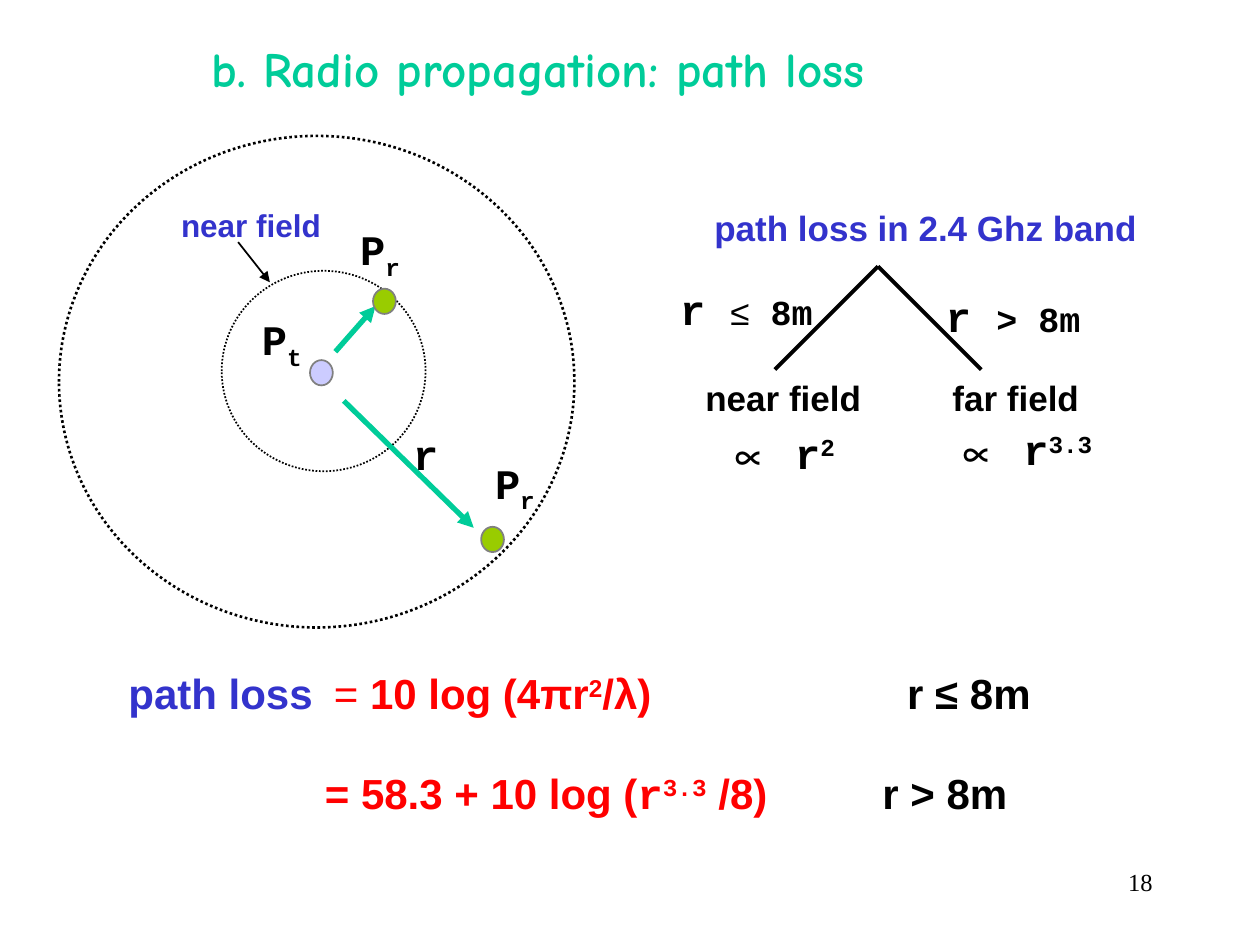
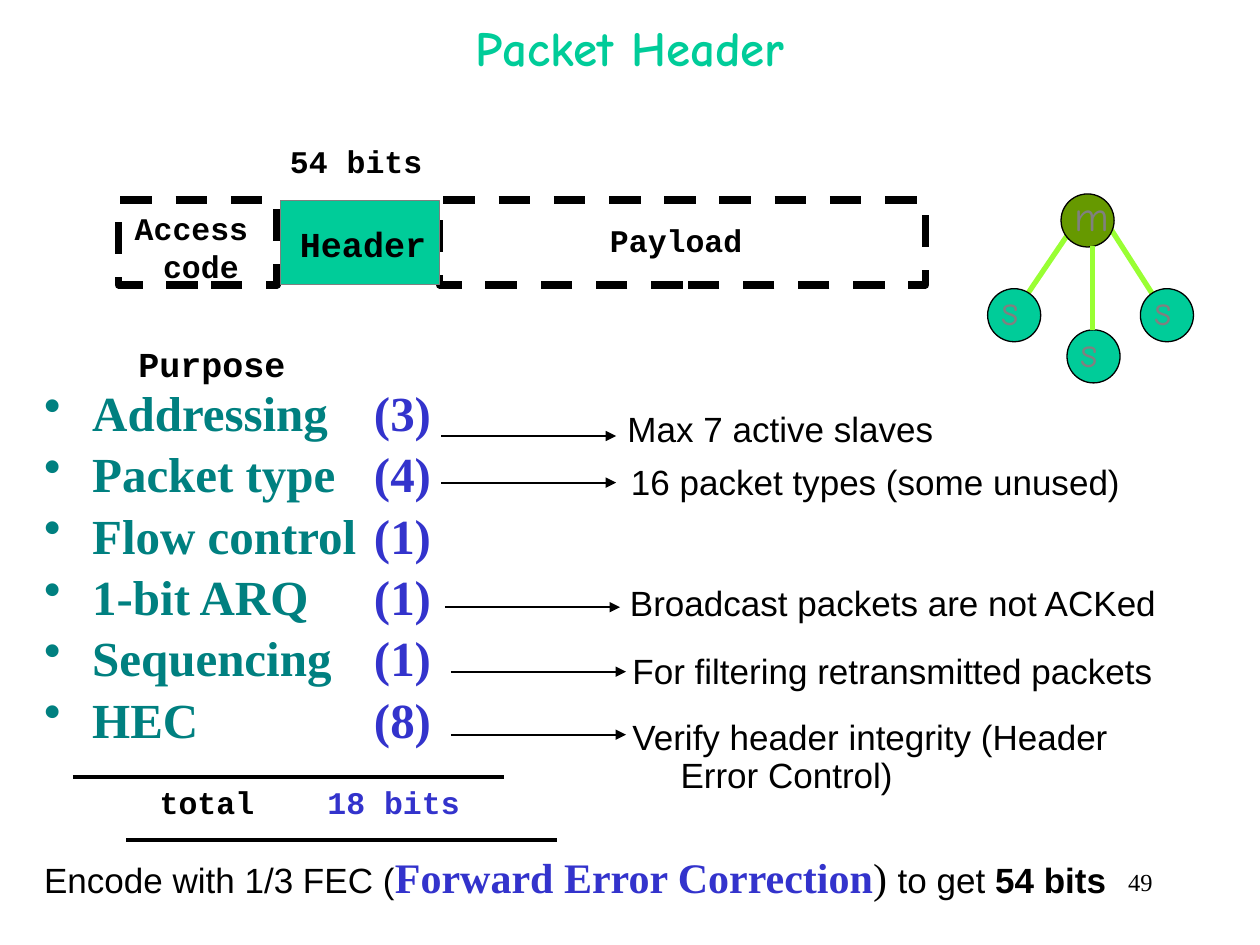
"""Build two lecture slides: radio path loss and the packet header."""
from dataclasses import dataclass

from lxml import etree
from pptx import Presentation
from pptx import util as u
from pptx.dml.color import RGBColor
from pptx.enum import dml, shapes, text
from pptx.oxml.ns import qn

COLORS = {
    "black": "000000", "green": "00CC99", "blue": "3333CC", "red": "FF0000",
    "teal": "008080", "grey": "808080", "lime": "99CC00", "lilac": "CCCCFF",
    "olive": "669900", "bright": "99FF33",
}
SANS, MONO, SERIF, COMIC = "Arial", "Courier New", "Times New Roman", "Comic Neue"
LEFT, CENTER, RIGHT = text.PP_ALIGN.LEFT, text.PP_ALIGN.CENTER, text.PP_ALIGN.RIGHT
TOP, MIDDLE = text.MSO_ANCHOR.TOP, text.MSO_ANCHOR.MIDDLE
DOT, DASH = dml.MSO_LINE.ROUND_DOT, dml.MSO_LINE.DASH
OVAL, RECT = shapes.MSO_SHAPE.OVAL, shapes.MSO_SHAPE.RECTANGLE
HANGING = 0.97


@dataclass
class Span:
    """A piece of text in one style."""
    text: str
    size: float = 20
    font: str = SANS
    color: str = "black"
    bold: bool = True
    baseline: int = 0


def mono(words, size=24, baseline=0, color="black"):
    return Span(words, size, MONO, color, True, baseline)


def plain(words, size=20):
    return Span(words, size, bold=False)


class SlideBuilder:
    """Holds the shared style and the slide being drawn."""

    def __init__(self):
        self.deck = Presentation()
        self.deck.slide_width, self.deck.slide_height = u.Cm(25.4), u.Cm(19.05)
        self.page = None

    def color(self, name):
        return RGBColor.from_string(COLORS[name])

    def start(self, title, number, place, align, anchor):
        self.page = self.deck.slides.add_slide(self.deck.slide_layouts[5])
        box = self.page.shapes.title
        box.left, box.top, box.width, box.height = map(u.Cm, place)
        self.fill_frame(box.text_frame, [[Span(title, 28, COMIC, "green")]], align, anchor)
        self.add_text(18.21, 17.35, 5.28, [Span(number, 14, SERIF, bold=False)], align=RIGHT)

    def fill_frame(self, frame, paragraphs, align, anchor):
        frame.word_wrap = True
        frame.auto_size = text.MSO_AUTO_SIZE.NONE
        frame.vertical_anchor = anchor
        for index, spans in enumerate(paragraphs):
            para = frame.add_paragraph() if index else frame.paragraphs[0]
            para.alignment = align
            for span in spans:
                run = para.add_run()
                run.text = span.text
                run.font.size, run.font.name = u.Pt(span.size), span.font
                run.font.bold = span.bold
                run.font.color.rgb = self.color(span.color)
                if span.baseline:
                    run.font._element.set("baseline", str(span.baseline * 1000))

    def add_text(self, left, top, width, *paragraphs, height=1.27, align=LEFT, anchor=TOP):
        box = self.page.shapes.add_textbox(*map(u.Cm, (left, top, width, height)))
        self.fill_frame(box.text_frame, paragraphs, align, anchor)
        return box.text_frame.paragraphs

    def label(self, center, top, height, *lines, size=18):
        width = 3.6
        self.add_text(center - width / 2, top, width, *([mono(line, size)] for line in lines),
                      height=height, align=CENTER, anchor=MIDDLE)

    def shape(self, kind, left, top, width, height, fill=None, line="black", weight=1, dash=None):
        shape = self.page.shapes.add_shape(kind, *map(u.Cm, (left, top, width, height)))
        shape.shadow.inherit = False
        if fill:
            shape.fill.solid()
            shape.fill.fore_color.rgb = self.color(fill)
        else:
            shape.fill.background()
        shape.line.color.rgb = self.color(line)
        shape.line.width = u.Pt(weight)
        if dash:
            shape.line.dash_style = dash

    def line(self, start, end, color="black", weight=2.25, arrow=False):
        line = self.page.shapes.add_connector(
            shapes.MSO_CONNECTOR.STRAIGHT, *map(u.Cm, (*start, *end)))
        line.line.color.rgb = self.color(color)
        line.line.width = u.Pt(weight)
        if arrow:
            etree.SubElement(line.line._get_or_add_ln(), qn("a:tailEnd"), type="triangle")
        etree.SubElement(line._element.spPr, qn("a:effectLst"))

    def tabs(self, para, *stops):
        tab_list = etree.SubElement(para._p.get_or_add_pPr(), qn("a:tabLst"))
        for stop in stops:
            etree.SubElement(tab_list, qn("a:tab"), pos=str(u.Cm(stop)), algn="l")

    def hang(self, para, line_spacing):
        properties = para._p.get_or_add_pPr()
        properties.set("marL", str(u.Cm(HANGING)))
        properties.set("indent", str(-u.Cm(HANGING)))
        para.line_spacing = line_spacing

    def bullet(self, para, color):
        properties = para._p.get_or_add_pPr()
        tint = etree.SubElement(properties, qn("a:buClr"))
        etree.SubElement(tint, qn("a:srgbClr"), val=COLORS[color])
        etree.SubElement(properties, qn("a:buChar"), char="•")

    def node(self, left, top, letter, fill):
        self.shape(OVAL, left, top, 1.07, 1.07, fill, weight=0.75)
        self.add_text(left + 0.03, top - 0.22, 1.4, [Span(letter, 24, COMIC, "grey", False)])


def path_loss(slide):
    slide.start("b. Radio propagation: path loss", "18", (4.01, 0.64, 19.48, 1.45), LEFT, TOP)

    slide.shape(OVAL, 1.19, 2.74, 10.39, 9.91, weight=1.5, dash=DOT)
    slide.shape(OVAL, 4.47, 5.46, 4.11, 4.04, dash=DOT)
    slide.line((6.76, 7.09), (7.57, 6.17), "green", 3, arrow=True)
    slide.line((6.93, 8.08), (9.55, 10.64), "green", 3, arrow=True)
    slide.line((4.8, 4.88), (5.44, 5.69), weight=1, arrow=True)
    for left, top, fill in ((6.25, 7.26, "lilac"), (7.52, 5.82, "lime"), (9.7, 10.62, "lime")):
        slide.shape(OVAL, left, top, 0.46, 0.51, fill, "grey")
    for left, top, index in ((5.03, 6.2, "t"), (9.73, 9.09, "r"), (7.01, 4.39, "r")):
        slide.add_text(left, top, 1.8, [mono("P"), mono(index, baseline=-25)])
    slide.add_text(8.08, 8.51, 1.2, [mono("r")])
    slide.add_text(3.4, 4.03, 4, [Span("near field", 18, color="blue")])

    slide.add_text(14.15, 4.04, 9.6, [Span("path loss in 2.4 Ghz band", color="blue")])
    for end in (15.62, 19.78):
        slide.line((17.7, 5.37), (end, 7.45))
    slide.add_text(13.46, 5.59, 3.8, [mono("r "), plain("≤"), mono(" 8m", 20)])
    slide.add_text(18.82, 5.74, 3.8, [mono("r "), mono("> 8m", 20)])
    fields = (("near field", 13.97, 14.4, 8.38, "2"), ("far field", 18.95, 19, 8.31, "3.3"))
    for name, name_left, sign_left, top, power in fields:
        slide.add_text(name_left, 7.47, 4.4, [Span(name)])
        slide.add_text(sign_left, top, 1.3, [Span("∝", 28)])
        slide.add_text(sign_left + 1.38, top + 0.11, 2.2, [mono("r"), mono(power, baseline=30)])

    near, far = slide.add_text(
        2.34, 13.34, 19.69,
        [Span("path loss\t", 24, color="blue"), Span("= ", 24, color="red", bold=False),
         Span("10 log (4πr", 24, color="red"), Span("2", 24, color="red", baseline=30),
         Span("/λ)\t", 24, color="red"), Span("r ≤ 8m", 24)],
        [Span("\t= 58.3 + 10 log (", 24, color="red"), mono("r", color="red"),
         mono("3.3", baseline=30, color="red"), Span(" /8)\t", 24, color="red"),
         Span("r > 8m", 24)], height=3.3)
    slide.tabs(near, 4.14, 15.7)
    slide.tabs(far, 3.96, 15.2)
    far.space_before = u.Pt(28)


def packet_header(slide):
    slide.start("Packet Header", "49", (1.91, 0, 21.59, 1.91), CENTER, MIDDLE)

    for left, width in ((2.39, 3.2), (8.86, 9.8)):
        slide.shape(RECT, left, 4.04, width, 1.7, weight=4.5, dash=DASH)
    slide.shape(RECT, 5.66, 4.04, 3.2, 1.7, "green", "grey", 0.5)
    slide.label(4.05, 4.09, 1.78, "Access ", "code")
    slide.label(7.32, 4.34, 1.12, "Header", size=20)
    slide.label(13.63, 4.32, 1.02, "Payload")
    slide.label(7.18, 2.74, 1.02, "54 bits")

    slide.line((21.51, 4.75), (20.65, 6.02), "bright", 3)
    slide.line((22.35, 4.55), (23.42, 6.22), "bright", 3)
    for left, top in ((21.51, 6.65), (19.91, 5.82), (22.99, 5.82)):
        slide.node(left, top, "s", "green")
    slide.node(21.39, 3.91, "m", "olive")
    slide.line((22.03, 4.95), (22.03, 6.65), "bright", 3)

    slide.add_text(2.54, 6.78, 4, [mono("Purpose", 20)])
    fields = {"Addressing": 3, "Packet type": 4, "Flow control": 1,
              "1-bit ARQ": 1, "Sequencing": 1, "HEC": 8}
    names = slide.add_text(0.64, 7.82, 7.2,
                           *([Span(name, 28, SERIF, "teal")] for name in fields), height=7.82)
    counts = slide.add_text(7.29, 7.82, 2.2,
                            *([Span(f"({bits})", 28, SERIF, "blue")] for bits in fields.values()),
                            height=7.82)
    for para in names:
        slide.bullet(para, "teal")
        slide.hang(para, 0.8)
    for para in counts:
        para.line_spacing = 0.8
    for para in (*names[1:], *counts[1:]):
        para.space_before = u.Pt(8.1)

    notes = (
        ("Max 7 active slaves", 12.4, 8.26, 8.89, 8.79, 0.8),
        ("16 packet types (some unused)", 12.47, 9.32, 8.89, 9.73, 0.8),
        ("Broadcast packets are not ACKed", 12.45, 11.76, 8.97, 12.24, 0.8),
        ("For filtering retransmitted packets", 12.5, 13.13, 9.09, 13.54, 0.8),
        ("Verify header integrity (Header Error Control)", 12.5, 14.4, 9.09, 14.81, 0.9),
    )
    for words, left, top, arrow_left, arrow_top, spacing in notes:
        slide.line((arrow_left, arrow_top), (arrow_left + 3.53, arrow_top), weight=1, arrow=True)
        slide.hang(slide.add_text(left, top, 11.38, [plain(words)])[0], spacing)

    for left, top in ((1.47, 15.67), (2.54, 16.94)):
        slide.line((left, top), (left + 8.69, top))
    slide.add_text(2.97, 15.67, 3, [mono("total", 18)])
    slide.add_text(6.35, 15.67, 3.6, [mono("18 bits", 18, color="blue")])
    summary = slide.add_text(
        0.64, 17.15, 22.02,
        [plain("Encode with 1/3 FEC ("), Span("Forward Error Correction", 24, SERIF, "blue"),
         Span(") ", 24, SERIF, bold=False), plain("to get "), Span("54 bits")])
    slide.hang(summary[0], 0.9)


def main():
    slide = SlideBuilder()
    path_loss(slide)
    packet_header(slide)
    slide.deck.save("out.pptx")


if __name__ == "__main__":
    main()
